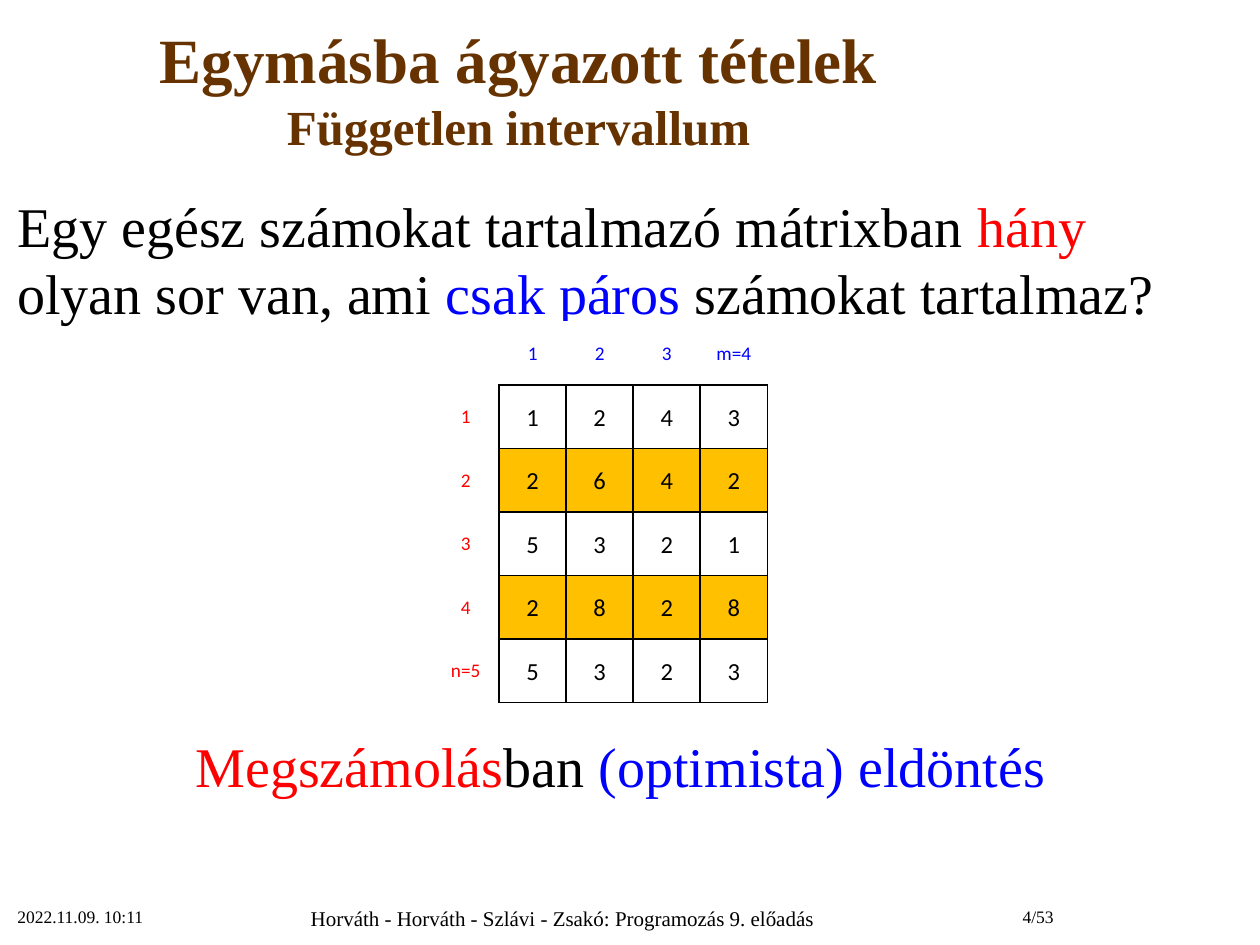
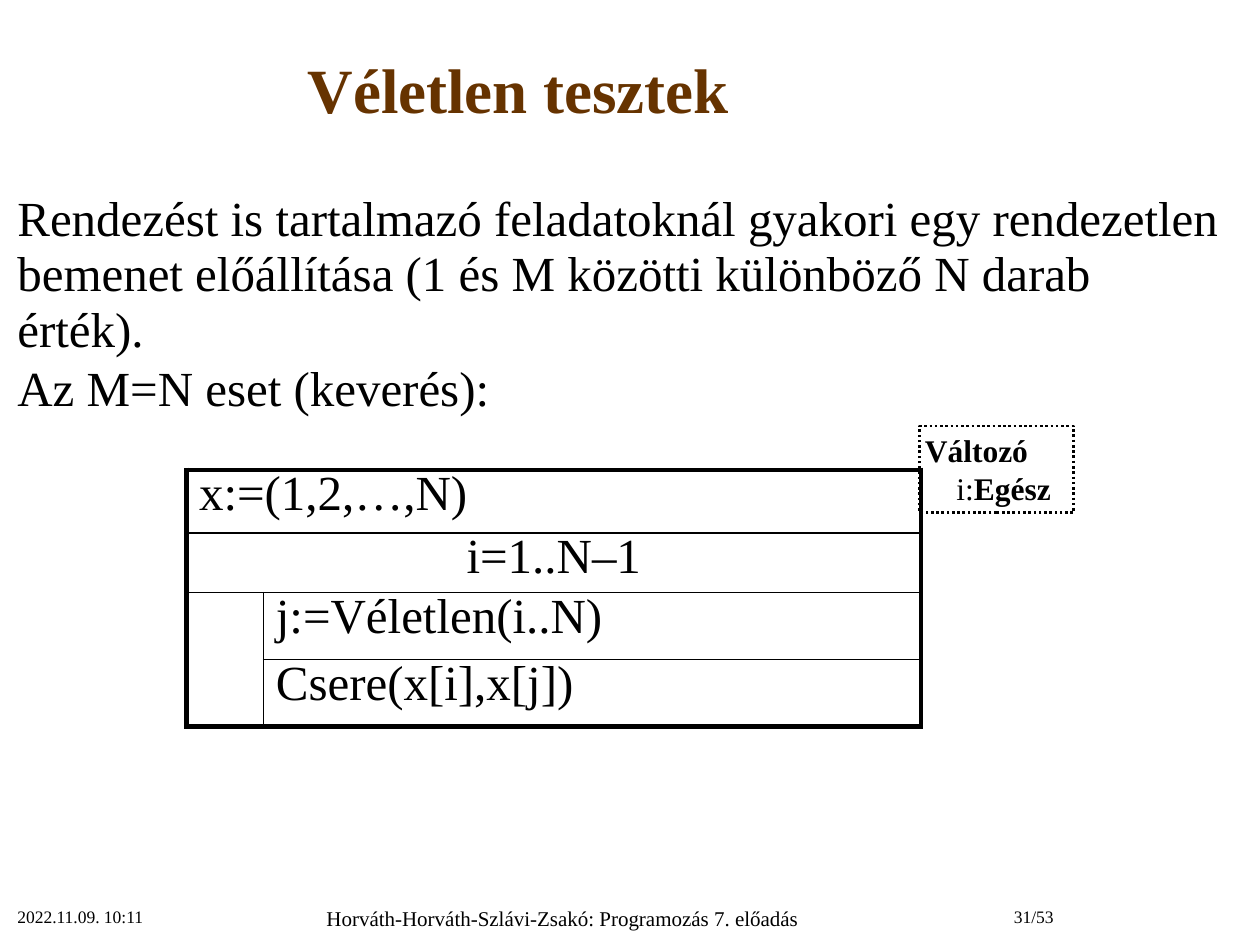
from pptx import Presentation
from pptx.dml.color import RGBColor
from pptx.enum.dml import MSO_LINE_DASH_STYLE as Dash
from pptx.enum.shapes import MSO_SHAPE as Shape
from pptx.enum.text import MSO_ANCHOR as Anchor, PP_ALIGN as Align
from pptx.oxml.ns import qn
from pptx.util import Inches, Pt
from lxml.etree import SubElement

SERIF, SANS = "Times New Roman", "Calibri"
BLACK, WHITE, BROWN = "000000", "FFFFFF", "663300"
RED, BLUE, AMBER = "FF0000", "0000FF", "FFC000"
NO_STYLE = "{2D5ABB26-0587-4C30-8999-92F81FD0307C}"
TITLE_BOX = (0, 0.09, 8.23, 1.22)
BODY_BOX = (0.04, 1.47, 9.77, 5.2)
DATE_BOX = (0.04, 7.14, 2.08, 0.39)
FOOTER_BOX = (2.12, 7.14, 4.69, 0.36)
NUMBER_BOX = (7.19, 7.14, 1.27, 0.39)
DATE = "2022.11.09. 10:11"

# A paragraph is a string or a list of (text, format) runs.
NESTED_TITLE = [("Egymásba ágyazott tételek\v", {}), ("Független intervallum", {"size": 28})]
QUESTION = [
    ("Egy egész számokat tartalmazó mátrixban ", {}), ("hány", {"color": RED}),
    (" olyan sor van, ami ", {}), ("csak páros ", {"color": BLUE}),
    ("számokat tartalmaz?", {}),
]
ANSWER = [("Megszámolás", {"color": RED}), ("ban ", {}),
          ("(optimista) eldöntés", {"color": BLUE})]
COLUMN_LABELS = ["1", "2", "3", "m=4"]
ROW_LABELS = ["1", "2", "3", "4", "n=5"]
MATRIX = [[1, 2, 4, 3], [2, 6, 4, 2], [5, 3, 2, 1], [2, 8, 2, 8], [5, 3, 2, 3]]

RANDOM_TASK = ("Rendezést is tartalmazó feladatoknál gyakori egy rendezetlen bemenet "
               "előállítása (1 és M közötti különböző N darab érték).")
SHUFFLE_CASE = "Az M=N eset (keverés):"
INITIAL_STEP, LOOP_HEAD = "x:=(1,2,…,N)", "i=1..N–1"
LOOP_STEPS = ["j:=Véletlen(i..N)", "Csere(x[i],x[j])"]
VARIABLE = [("i:", {}), ("Egész", {"bold": True})]


def rgb(color):
    return RGBColor.from_string(color)


def add_text(frame, content, size=28, font=SERIF, color=BLACK, bold=False,
             align=Align.LEFT, before=0, spacing=1.0, indent=0):
    """Fill the frame's first paragraph, or append one if it already has text."""
    paragraph = frame.add_paragraph() if frame.text else frame.paragraphs[0]
    paragraph.alignment = align
    paragraph.space_before = Pt(before)
    paragraph.line_spacing = spacing
    if indent:
        paragraph._p.get_or_add_pPr().set("marL", str(Inches(indent)))
    for text, changes in [(content, {})] if isinstance(content, str) else content:
        style = {"size": size, "color": color, "bold": bold, **changes}
        for index, line in enumerate(text.split("\v")):
            if index:
                paragraph.add_line_break()
            if line:
                run = paragraph.add_run()
                run.text = line
                run.font.name, run.font.size = font, Pt(style["size"])
                run.font.bold = style["bold"]
                run.font.color.rgb = rgb(style["color"])


def set_margins(target, horizontal, vertical):
    target.margin_left = target.margin_right = Inches(horizontal)
    target.margin_top = target.margin_bottom = Inches(vertical)


def add_box(slide, box):
    frame = slide.shapes.add_textbox(*map(Inches, box)).text_frame
    frame.word_wrap = True
    return frame


def add_slide(presentation, title, footer, number):
    slide = presentation.slides.add_slide(presentation.slide_layouts[5])
    shape = slide.shapes.title
    shape.left, shape.top, shape.width, shape.height = map(Inches, TITLE_BOX)
    shape.text_frame.vertical_anchor = Anchor.MIDDLE
    add_text(shape.text_frame, title, size=36, color=BROWN, bold=True, align=Align.CENTER)
    add_text(add_box(slide, DATE_BOX), DATE, size=10)
    add_text(add_box(slide, FOOTER_BOX), footer, size=12, align=Align.CENTER)
    add_text(add_box(slide, NUMBER_BOX), number, size=10, align=Align.RIGHT)
    return slide


def add_plain_table(slide, left, top, widths, heights):
    frame = slide.shapes.add_table(len(heights), len(widths), Inches(left), Inches(top),
                                   Inches(sum(widths)), Inches(sum(heights)))
    table = frame.table
    table.first_row = table.horz_banding = False
    table._tbl.tblPr.find(qn("a:tableStyleId")).text = NO_STYLE
    for column, width in zip(table.columns, widths):
        column.width = Inches(width)
    for row, height in zip(table.rows, heights):
        row.height = Inches(height)
    return table


def set_borders(cell, **widths):
    """Draw the sides L, R, T and B with the given widths in points."""
    properties = cell._tc.get_or_add_tcPr()
    sides = [side for side in "LRTB" if side in widths]
    for position, side in enumerate(sides):
        line = SubElement(properties, qn("a:ln" + side), w=str(Pt(widths[side])))
        fill = SubElement(line, qn("a:solidFill"))
        SubElement(fill, qn("a:srgbClr"), val=BLACK)
        properties.insert(position, line)


def add_matrix(slide):
    grid = [["", *COLUMN_LABELS]]
    grid += [[label, *map(str, values)] for label, values in zip(ROW_LABELS, MATRIX)]
    table = add_plain_table(slide, 3.43, 2.55, [0.532] * len(grid[0]), [0.504] * len(grid))
    for row, texts in enumerate(grid):
        all_even = row > 0 and all(value % 2 == 0 for value in MATRIX[row - 1])
        for column, text in enumerate(texts):
            cell = table.cell(row, column)
            inside = row > 0 and column > 0
            cell.fill.solid()
            cell.fill.fore_color.rgb = rgb(AMBER if inside and all_even else WHITE)
            cell.vertical_anchor = Anchor.MIDDLE
            set_margins(cell, 0.05, 0)
            if text:
                color = BLACK if inside else RED if row else BLUE
                add_text(cell.text_frame, text, size=14 if inside else 11, font=SANS,
                         color=color, align=Align.CENTER, spacing=1.07)
            if inside:
                set_borders(cell, L=1, R=1, T=1, B=1)
            elif row:
                set_borders(cell, R=1)
            elif column:
                set_borders(cell, B=1)


def add_structogram(slide):
    table = add_plain_table(slide, 1.48, 3.73, [0.61, 5.22], [0.5, 0.47, 0.53, 0.53])
    for row in (0, 1):
        table.cell(row, 0).merge(table.cell(row, 1))
    steps = [(0, 0, INITIAL_STEP, Align.LEFT), (1, 0, LOOP_HEAD, Align.CENTER)]
    steps += [(row, 1, text, Align.LEFT) for row, text in enumerate(LOOP_STEPS, 2)]
    for row, column, text, align in steps:
        add_text(table.cell(row, column).text_frame, text, align=align, spacing=0.8)
    last = len(table.rows) - 1
    for row in range(last + 1):
        bottom = 3 if row == last else 1
        left, right = table.cell(row, 0), table.cell(row, 1)
        if row == 0:
            set_borders(left, L=3, R=3, T=3, B=1)
            set_borders(right, R=3, T=3, B=1)
        elif row == 1:
            set_borders(left, L=3, R=3, T=1)
            set_borders(right, R=3, T=1, B=1)
        else:
            set_borders(left, L=3, R=1, **({"B": 3} if row == last else {}))
            set_borders(right, L=1, R=3, T=1, B=bottom)


def add_variable_box(slide):
    shape = slide.shapes.add_shape(Shape.RECTANGLE, *map(Inches, (7.3, 3.38, 1.22, 0.69)))
    shape.shadow.inherit = False
    shape.fill.background()
    shape.line.color.rgb = rgb(BLACK)
    shape.line.width = Pt(1.5)
    shape.line.dash_style = Dash.ROUND_DOT
    frame = shape.text_frame
    frame.word_wrap = True
    frame.vertical_anchor = Anchor.TOP
    set_margins(frame, 0.04, 0.04)
    add_text(frame, "Változó", size=18, bold=True, before=3)
    add_text(frame, VARIABLE, size=18, indent=0.25)


def main():
    presentation = Presentation()
    presentation.slide_width, presentation.slide_height = Inches(10), Inches(7.5)

    slide = add_slide(presentation, NESTED_TITLE,
                      "Horváth - Horváth - Szlávi - Zsakó: Programozás 9. előadás", "4/53")
    body = add_box(slide, BODY_BOX)
    add_text(body, QUESTION, size=32, before=3)
    add_text(body, ANSWER, size=32, align=Align.CENTER, before=232)
    add_matrix(slide)

    slide = add_slide(presentation, "Véletlen tesztek",
                      "Horváth-Horváth-Szlávi-Zsakó: Programozás 7. előadás", "31/53")
    body = add_box(slide, BODY_BOX)
    for text in (RANDOM_TASK, SHUFFLE_CASE):
        add_text(body, text, spacing=0.95, before=1.4)
    add_structogram(slide)
    add_variable_box(slide)

    presentation.save("out.pptx")


if __name__ == "__main__":
    main()
